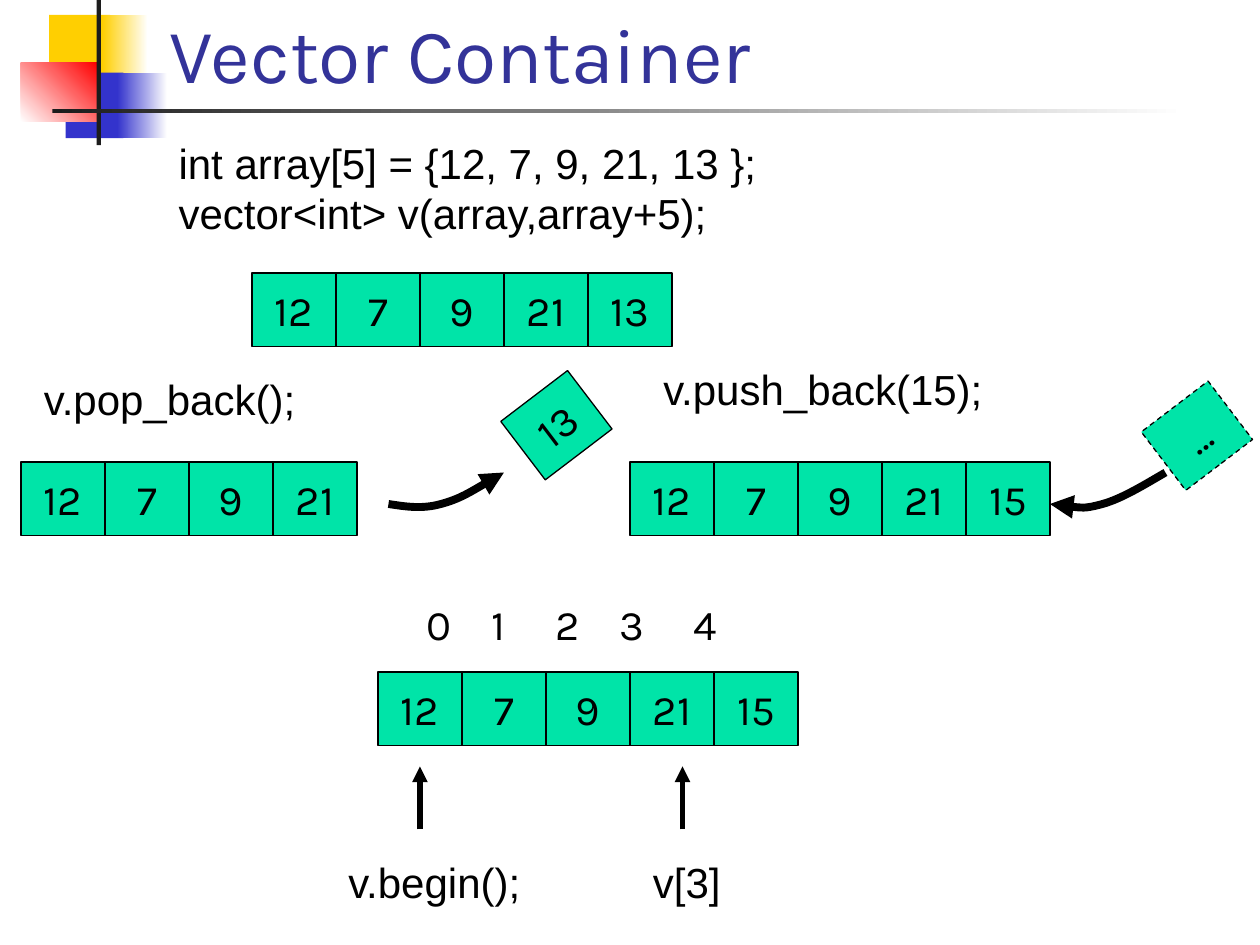
import lxml.etree
import pptx
import pptx.dml.color
import pptx.enum.dml
import pptx.enum.shapes
import pptx.enum.text
import pptx.oxml.ns
import pptx.util

Pt = pptx.util.Pt
qn = pptx.oxml.ns.qn
RGBColor = pptx.dml.color.RGBColor
RECTANGLE = pptx.enum.shapes.MSO_SHAPE.RECTANGLE

YELLOW = RGBColor(0xFF, 0xCF, 0x01)
BLUE = RGBColor(0x33, 0x33, 0xCC)
RED = RGBColor(0xFF, 0x00, 0x00)
CHARCOAL = RGBColor(0x1C, 0x1C, 0x1C)
WHITE = RGBColor(0xFF, 0xFF, 0xFF)
BLACK = RGBColor(0x00, 0x00, 0x00)
TITLE_BLUE = RGBColor(0x33, 0x33, 0x99)
GREEN = RGBColor(0x00, 0xE4, 0xA8)
CELL_WIDTH, CELL_HEIGHT = 48, 42

deck = pptx.Presentation()
deck.slide_width, deck.slide_height = Pt(720), Pt(540)
page = deck.slides.add_slide(deck.slide_layouts[6])


def add_cell(left, top, value):
    cell = page.shapes.add_shape(
        RECTANGLE, Pt(left), Pt(top), Pt(CELL_WIDTH), Pt(CELL_HEIGHT))
    cell.shadow.inherit = False
    cell.fill.solid()
    cell.fill.fore_color.rgb = GREEN
    cell.line.color.rgb = BLACK
    cell.line.width = Pt(0.75)
    frame = cell.text_frame
    frame.text = value
    frame.word_wrap = False
    frame.vertical_anchor = pptx.enum.text.MSO_ANCHOR.MIDDLE
    para = frame.paragraphs[0]
    para.alignment = pptx.enum.text.PP_ALIGN.CENTER
    para.font.name, para.font.size = "Karla", Pt(24)
    para.font.color.rgb = BLACK
    return cell


def add_label(left, top, width, height, text, font="Arial", size=24, color=BLACK):
    box = page.shapes.add_textbox(Pt(left), Pt(top), Pt(width), Pt(height))
    box.text_frame.text = text
    box.text_frame.word_wrap = True
    for para in box.text_frame.paragraphs:
        for span in para.runs:
            span.font.name, span.font.size = font, Pt(size)
            span.font.color.rgb = color
    return box


# Corner ornament: one colour is solid, two make a gradient at the given angle
for left, top, width, height, colors, angle in [
    (28, 8.5, 35, 37.5, [YELLOW], 0),
    (58.5, 8.5, 26, 37.5, [YELLOW, WHITE], 0),
    (37.5, 41.5, 33, 37.5, [BLUE], 0),
    (67, 41.5, 28.5, 37.5, [BLUE, WHITE], 0),
    (12, 36, 44, 33.5, [WHITE, RED], 45),
    (55.25, 0, 2.5, 83, [CHARCOAL], 0),
    (30, 62.25, 648, 2.25, [CHARCOAL, WHITE], 0),
]:
    block = page.shapes.add_shape(RECTANGLE, Pt(left), Pt(top), Pt(width), Pt(height))
    block.shadow.inherit = False
    block.line.fill.background()
    if len(colors) == 1:
        block.fill.solid()
        block.fill.fore_color.rgb = colors[0]
    else:
        block.fill.gradient()
        block.fill.gradient_angle = angle
        for stop, color in zip(block.fill.gradient_stops, colors):
            stop.color.rgb = color

# Title
title = add_label(90, -30, 613.5, 90, "Vector Container", "Karla", 44, TITLE_BLUE)
title.text_frame.vertical_anchor = pptx.enum.text.MSO_ANCHOR.BOTTOM

# Code labels
add_label(95, 75, 352, 65,
          "int array[5] = {12, 7, 9, 21, 13 };\nvector<int> v(array,array+5);")
add_label(18, 210, 162, 36, "v.pop_back();")
add_label(372, 204, 202, 36, "v.push_back(15);")
add_label(192, 486, 118, 36, "v.begin();")
add_label(366, 486, 56, 36, "v[3]")

# Element that leaves and element that enters
popped = add_cell(294, 222, "13")
pushed = add_cell(660, 228, "…")
popped.rotation = pushed.rotation = 322.7
pushed.line.dash_style = pptx.enum.dml.MSO_LINE.DASH

# Curved arrows: every three points after the start form one Bézier segment
arrows = []
curve = [(0, 288), (10, 289.5), (19, 291), (30, 288), (41, 285), (54, 277), (66, 270)]
for left, arrow_end in [(222, "tailEnd"), (600, "headEnd")]:
    points = [(Pt(left + x), Pt(y)) for x, y in curve]
    builder = page.shapes.build_freeform(*points[0])
    builder.add_line_segments(points[1:], close=False)
    arrow = builder.convert_to_shape()
    arrow.fill.background()
    segments = list(arrow.element.iter(qn("a:lnTo")))
    for first in range(0, len(segments), 3):
        bezier = lxml.etree.Element(qn("a:cubicBezTo"))
        segments[first].addprevious(bezier)
        for segment in segments[first:first + 3]:
            bezier.append(segment[0])
            segment.getparent().remove(segment)
    arrows.append((arrow, 4.5, arrow_end))

# Straight pointers
for x in (240, 390):
    pointer = page.shapes.add_connector(
        pptx.enum.shapes.MSO_CONNECTOR.STRAIGHT, Pt(x), Pt(474), Pt(x), Pt(438))
    arrows.append((pointer, 3, "tailEnd"))

# Arrow lines and heads
for arrow, width, arrow_end in arrows:
    arrow.line.color.rgb = BLACK
    arrow.line.width = Pt(width)
    properties = arrow.element.spPr
    head = lxml.etree.SubElement(properties.find(qn("a:ln")), qn("a:" + arrow_end))
    head.set("type", "triangle")
    lxml.etree.SubElement(properties, qn("a:effectLst"))

# Vector rows
for left, top, values in [
    (144, 156, "12 7 9 21 13"),
    (12, 264, "12 7 9 21"),
    (360, 264, "12 7 9 21 15"),
    (216, 384, "12 7 9 21 15"),
]:
    for column, value in enumerate(values.split()):
        add_cell(left + column * CELL_WIDTH, top, value)

# Index numbers on tab stops
indexes = add_label(236.5, 338.5, 195, 36, "0\t1\t2\t3\t4", "Karla")
tabs = lxml.etree.SubElement(
    indexes.text_frame.paragraphs[0]._p.get_or_add_pPr(), qn("a:tabLst"))
for position in (37, 74, 110.5, 152.5):
    tab = lxml.etree.SubElement(tabs, qn("a:tab"))
    tab.set("pos", str(Pt(position)))
    tab.set("algn", "l")

deck.save("out.pptx")
